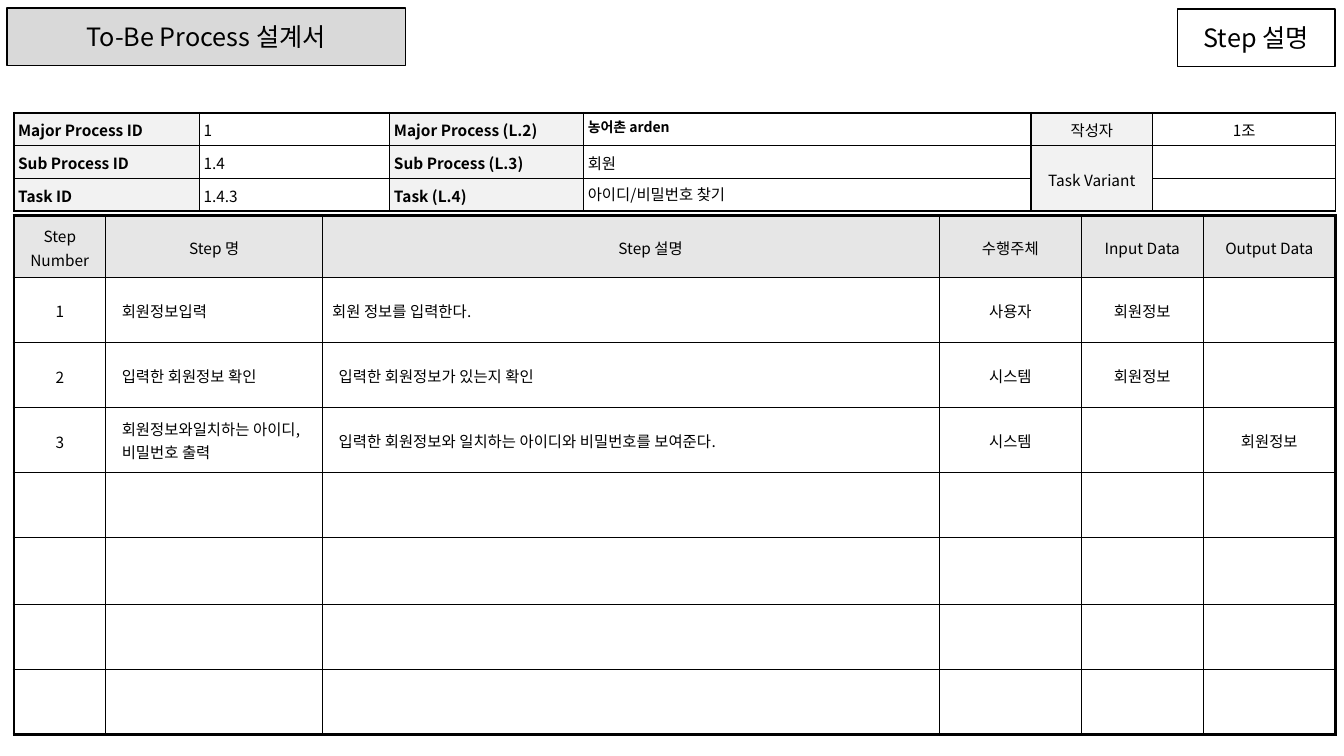
"""Build a To-Be process design sheet with a process header and a step table."""
import lxml.etree
import pptx
import pptx.dml.color
import pptx.enum.shapes
import pptx.enum.text
import pptx.oxml.ns
import pptx.util

Pt = pptx.util.Pt
qn = pptx.oxml.ns.qn
RGB = pptx.dml.color.RGBColor
ALIGN = pptx.enum.text.PP_ALIGN
ANCHOR = pptx.enum.text.MSO_ANCHOR

FONT = "Noto Sans CJK KR"
BLACK = RGB(0, 0, 0)
TITLE_GRAY = RGB(0xD9, 0xD9, 0xD9)
LABEL_GRAY = RGB(0xF2, 0xF2, 0xF2)
HEADER_GRAY = RGB(0xE6, 0xE6, 0xE6)

TITLES = [
    ("To-Be Process 설계서", 5, 5.75, 284.5, TITLE_GRAY),
    ("Step 설명", 841, 6.5, 112.5, None),
]
PROCESS_ROWS = [
    ["Major Process ID", "1", "Major Process (L.2)", "농어촌 arden", "작성자", "1조"],
    ["Sub Process ID", "1.4", "Sub Process (L.3)", "회원", "Task Variant", ""],
    ["Task ID", "1.4.3", "Task (L.4)", "아이디/비밀번호 찾기", "", ""],
]
PROCESS_WIDTHS = [132.5, 136, 138.5, 319.5, 87, 130.5]
PROCESS_HEIGHTS = [22.5] * 3
STEP_ROWS = [
    ["Step Number", "Step 명", "Step 설명", "수행주체", "Input Data", "Output Data"],
    ["1", "회원정보입력", "회원 정보를 입력한다.", "사용자", "회원정보", ""],
    ["2", "입력한 회원정보 확인", "입력한 회원정보가 있는지 확인", "시스템", "회원정보", ""],
    ["3", "회원정보와일치하는 아이디,비밀번호 출력",
     "입력한 회원정보와 일치하는 아이디와 비밀번호를 보여준다.", "시스템", "", "회원정보"],
] + [[""] * 6] * 4
STEP_WIDTHS = [65.5, 155, 440.5, 101.5, 87, 94.5]
STEP_HEIGHTS = [44.5, 46.4, 46.4, 46.4, 46.4, 48, 46.4, 46.4]
TABLE_LEFT = 10


def style(p, size, align, bold=False, spacing=1.0, indent=0):
    p.alignment = align
    p.line_spacing = spacing
    p.font.name, p.font.size, p.font.bold = FONT, Pt(size), bold
    p.font.color.rgb = BLACK
    pPr = p._p.get_or_add_pPr()
    pPr.set("marL", str(Pt(indent)))
    pPr.set("indent", "0")
    lxml.etree.SubElement(pPr.find(qn("a:defRPr")), qn("a:ea"), typeface=FONT)
    if not p.runs:
        lxml.etree.SubElement(p._p, qn("a:endParaRPr"), sz=str(size * 100))


def paint(fill, color):
    if color is None:
        fill.background()
    else:
        fill.solid()
        fill.fore_color.rgb = color


def set_borders(cell, widths):
    tcPr = cell._tc.get_or_add_tcPr()
    for i, (side, width) in enumerate(zip("LRTB", widths)):
        ln = lxml.etree.Element(qn("a:ln" + side), w=str(Pt(width)))
        fill = lxml.etree.SubElement(ln, qn("a:solidFill"))
        lxml.etree.SubElement(fill, qn("a:srgbClr"), val=str(BLACK))
        tcPr.insert(i, ln)


def add_grid(slide, top, rows, widths, heights, outer, inset, look, merges=()):
    frame = slide.shapes.add_table(len(rows), len(widths), Pt(TABLE_LEFT), Pt(top),
                                   Pt(sum(widths)), Pt(sum(heights)))
    table = frame.table
    table.first_row = table.horz_banding = False
    for column, width in zip(table.columns, widths):
        column.width = Pt(width)
    for row, height in zip(table.rows, heights):
        row.height = Pt(height)
    for first, last in merges:
        table.cell(*first).merge(table.cell(*last))
    for r, texts in enumerate(rows):
        for c, text in enumerate(texts):
            cell = table.cell(r, c)
            if cell.is_spanned:
                continue
            color, anchor, font = look(r, c)
            cell.margin_left = cell.margin_right = Pt(inset)
            cell.margin_top = cell.margin_bottom = Pt(2.9)
            cell.vertical_anchor = anchor
            cell.text = text
            style(cell.text_frame.paragraphs[0], **font)
            paint(cell.fill, color)
            edges = (c == 0, c == len(widths) - 1, r == 0,
                     r + cell.span_height == len(rows))
            set_borders(cell, [outer if edge else 1 for edge in edges])


def process_look(r, c):
    name = (r, c) == (0, 3)
    font = dict(size=10 if name else 11, bold=c in (0, 2) or name,
                align=ALIGN.CENTER if c > 3 else ALIGN.LEFT,
                spacing=1.0 if c == 3 and r != 1 else 1.1)
    return (None if c % 2 else LABEL_GRAY,
            ANCHOR.MIDDLE if c > 3 else ANCHOR.TOP, font)


def step_look(r, c):
    header = r == 0
    if header:
        indent = 28 if c == 2 else 0
    else:
        indent = {1: 7.2, 2: 2.5 if r == 1 else 7.2}.get(c, 0)
    font = dict(size=11, indent=indent,
                align=ALIGN.LEFT if c in (1, 2) and not header else ALIGN.CENTER,
                spacing=1.1 if header or c == 0 and r > 1 else 1.0)
    return HEADER_GRAY if header else None, ANCHOR.MIDDLE, font


prs = pptx.Presentation()
prs.slide_width, prs.slide_height = Pt(960), Pt(540)
s = prs.slides.add_slide(prs.slide_layouts[6])

for text, left, top, width, color in TITLES:
    sp = s.shapes.add_shape(pptx.enum.shapes.MSO_SHAPE.RECTANGLE,
                            Pt(left), Pt(top), Pt(width), Pt(41))
    sp.shadow.inherit = False
    paint(sp.fill, color)
    sp.line.color.rgb = BLACK
    sp.line.width = Pt(1)
    tf = sp.text_frame
    tf.text = text
    tf.vertical_anchor = ANCHOR.MIDDLE
    style(tf.paragraphs[0], 18, ALIGN.CENTER)

add_grid(s, 80.5, PROCESS_ROWS, PROCESS_WIDTHS, PROCESS_HEIGHTS, 1.5, 2.9,
         process_look, merges=[((1, 4), (2, 4))])
add_grid(s, 154, STEP_ROWS, STEP_WIDTHS, STEP_HEIGHTS, 2.25, 4.3, step_look)

prs.save("out.pptx")
